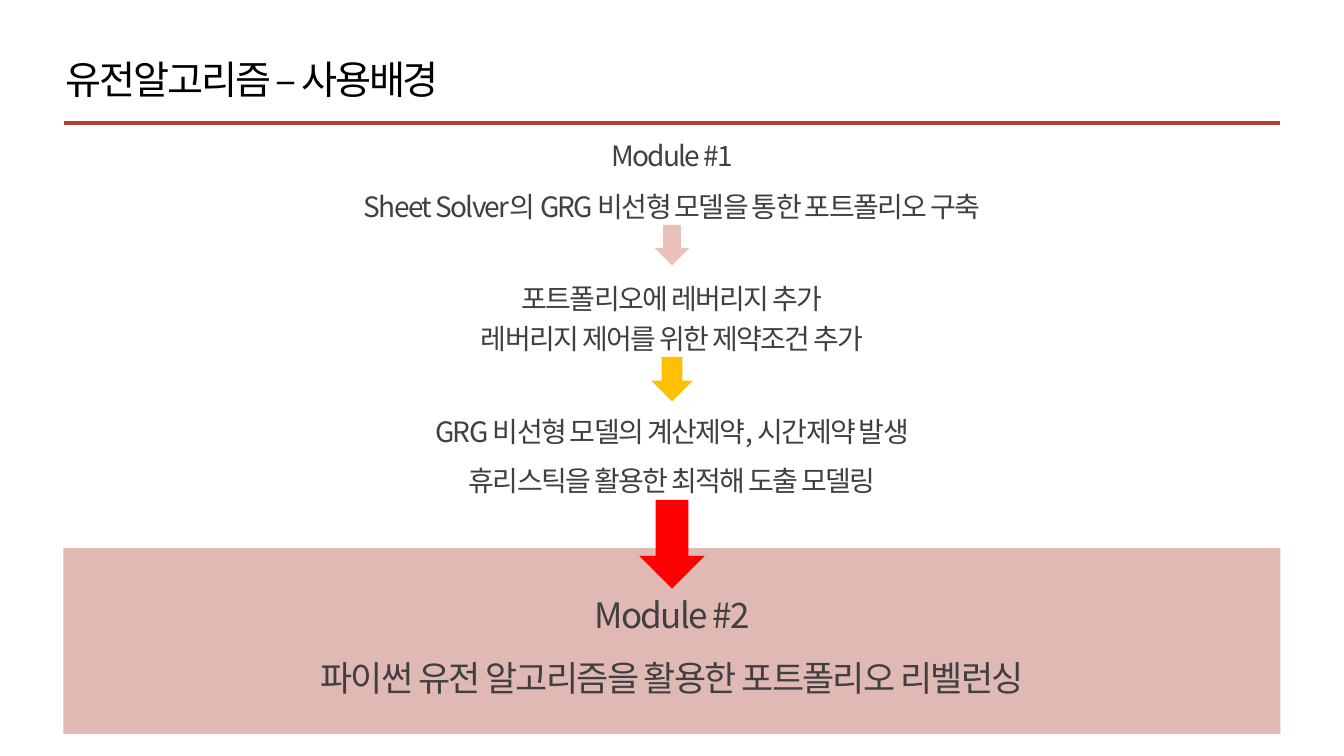
from lxml import etree
from pptx import Presentation
from pptx import util as u
from pptx.dml.color import RGBColor
from pptx.enum import shapes, text
from pptx.oxml import ns

COLORS = {
    "title": "000000",
    "body": "404040",
    "rule": "B14031",
    "panel": "E0B8B4",
    "pink": "ECC0BA",
    "amber": "FFC000",
    "red": "FF0000",
}
CENTER = 480


class SlideBuilder:
    font = "Noto Sans CJK KR"

    def __init__(self, slide):
        self.slide = slide

    def color(self, name):
        return RGBColor.from_string(COLORS[name])

    def text(self, left, top, width, height, lines, size=20, color="body",
             spacing=-1.2, centered=True, hanging=()):
        box = self.slide.shapes.add_textbox(*map(u.Pt, (left, top, width, height)))
        frame = box.text_frame
        frame.word_wrap = True
        for index, line in enumerate(lines):
            paragraph = frame.paragraphs[0] if index == 0 else frame.add_paragraph()
            if centered:
                paragraph.alignment = text.PP_ALIGN.CENTER
                paragraph.line_spacing = 1.5
            if index in hanging:
                properties = paragraph._p.get_or_add_pPr()
                properties.set("marL", "0")
                properties.set("indent", str(u.Pt(-14)))
            run = paragraph.add_run()
            run.text = line
            run.font.size = u.Pt(size)
            run.font.name = self.font
            run.font.color.rgb = self.color(color)
            properties = run._r.get_or_add_rPr()
            properties.set("spc", str(round(spacing * 100)))
            east_asian = etree.SubElement(properties, ns.qn("a:ea"))
            east_asian.set("typeface", self.font)

    def centered_text(self, top, height, lines, width=783.4, **style):
        self.text(CENTER - width / 2, top, width, height, lines, **style)

    def shape(self, kind, left, top, width, height, color):
        shape = self.slide.shapes.add_shape(kind, *map(u.Pt, (left, top, width, height)))
        shape.shadow.inherit = False
        shape.fill.solid()
        shape.fill.fore_color.rgb = self.color(color)
        shape.line.fill.background()

    def down_arrow(self, top, width, height, color):
        self.shape(shapes.MSO_SHAPE.DOWN_ARROW, CENTER - width / 2, top,
                   width, height, color)

    def rule(self, left, right, top):
        line = self.slide.shapes.add_connector(
            shapes.MSO_CONNECTOR.STRAIGHT, *map(u.Pt, (left, top, right, top)))
        line.line.color.rgb = self.color("rule")
        line.line.width = u.Pt(3)
        etree.SubElement(line._element.spPr, ns.qn("a:effectLst"))


def main():
    presentation = Presentation()
    presentation.slide_width = u.Pt(960)
    presentation.slide_height = u.Pt(540)
    builder = SlideBuilder(presentation.slides.add_slide(presentation.slide_layouts[6]))

    builder.text(39.6, 36, 705, 41, ["유전알고리즘 – 사용배경"], size=28,
                 color="title", spacing=-1.5, centered=False)
    builder.rule(45.5, 914.5, 88)
    builder.shape(shapes.MSO_SHAPE.RECTANGLE, 45.2, 391.5, 869.4, 132.7, "panel")

    builder.centered_text(83.5, 76.3, [
        "Module #1",
        "Sheet Solver의 GRG 비선형 모델을 통한 포트폴리오 구축",
    ], hanging=(1,))
    builder.down_arrow(160.6, 25.2, 29, "pink")
    builder.centered_text(405.4, 93.6, [
        "Module #2",
        "파이썬 유전 알고리즘을 활용한 포트폴리오 리벨런싱",
    ], size=25)
    builder.centered_text(185.8, 40.3, ["포트폴리오에 레버리지 추가"])
    builder.centered_text(213.9, 40.3, ["레버리지 제어를 위한 제약조건 추가"])
    builder.down_arrow(254.9, 29.4, 31.8, "amber")
    builder.centered_text(280.8, 40.3, ["GRG 비선형 모델의 계산제약, 시간제약 발생"])
    builder.centered_text(315.4, 40.3, ["휴리스틱을 활용한 최적해 도출 모델링"], width=503.3)
    builder.down_arrow(357.1, 46.8, 63.4, "red")

    presentation.save("out.pptx")


if __name__ == "__main__":
    main()
